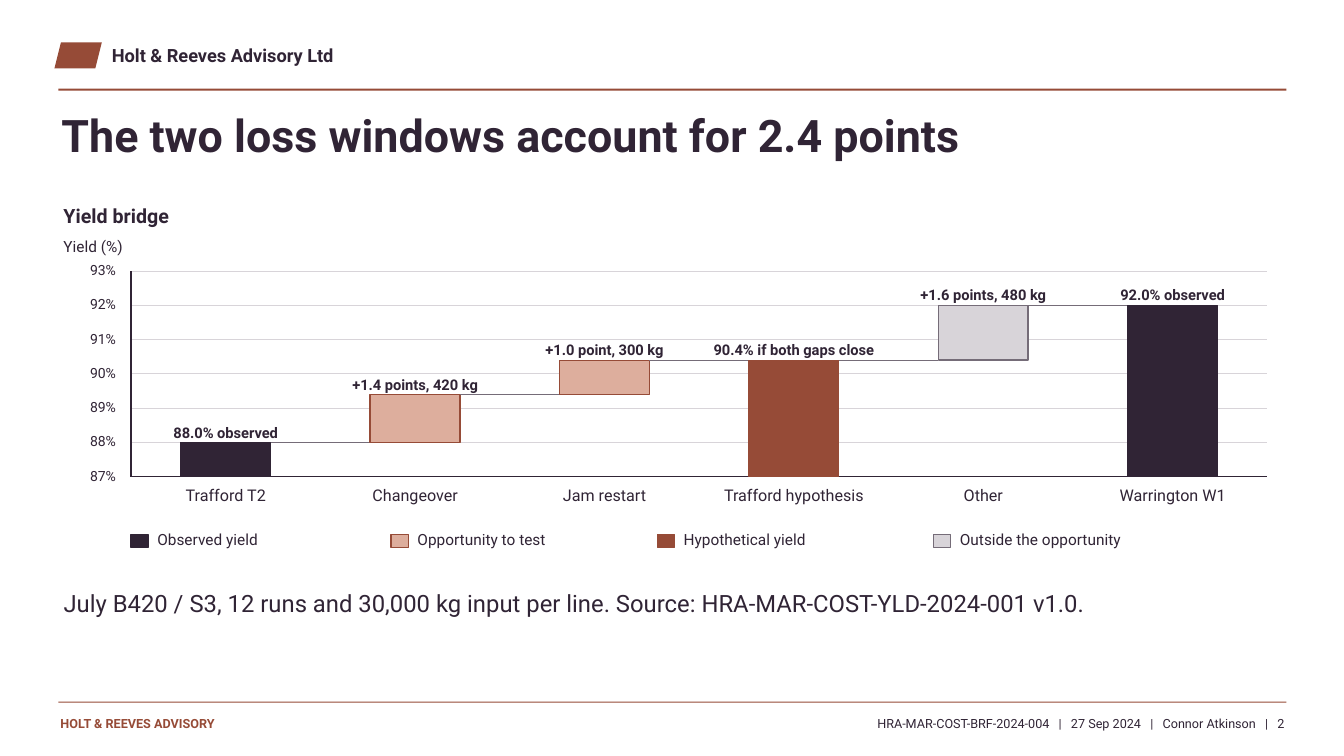
import collections

import lxml.etree
import pptx
import pptx.dml.color
import pptx.enum.shapes
import pptx.enum.text
import pptx.oxml.ns
import pptx.util

COLOURS = {
    "ink": "302435",
    "rust": "964B37",
    "blush": "DDAE9D",
    "mist": "D8D4D9",
    "slate": "756C78",
}
FONT = "Roboto"
CELL = pptx.util.Inches(0.1)  # the page grid: 133.3 columns by 75 rows
COLUMNS, ROWS = 133.3, 75
MARGIN = 5.8

Box = collections.namedtuple("Box", "left top width height")
Bar = collections.namedtuple("Bar", "name low high style label")

STYLES = {  # fill and outline
    "observed": ("ink", "ink"),
    "opportunity": ("blush", "rust"),
    "hypothesis": ("rust", "rust"),
    "outside": ("mist", "slate"),
}
BARS = [
    Bar("Trafford T2", 87, 88, "observed", "88.0% observed"),
    Bar("Changeover", 88, 89.4, "opportunity", "+1.4 points, 420 kg"),
    Bar("Jam restart", 89.4, 90.4, "opportunity", "+1.0 point, 300 kg"),
    Bar("Trafford hypothesis", 87, 90.4, "hypothesis", "90.4% if both gaps close"),
    Bar("Other", 90.4, 92, "outside", "+1.6 points, 480 kg"),
    Bar("Warrington W1", 87, 92, "observed", "92.0% observed"),
]
LEGEND = [  # offset in columns, style, wording
    (0, "observed", "Observed yield"),
    (25.8, "opportunity", "Opportunity to test"),
    (52.2, "hypothesis", "Hypothetical yield"),
    (79.6, "outside", "Outside the opportunity"),
]


def cells(*counts):
    return [round(count * CELL) for count in counts]


def rgb(name):
    return pptx.dml.color.RGBColor.from_string(COLOURS[name])


def add_span(para, text, size, colour="ink", bold=False):
    span = para.add_run()
    span.text = text
    span.font.name = FONT
    span.font.size = pptx.util.Pt(size)
    span.font.bold = bold
    span.font.color.rgb = rgb(colour)
    return span


def prepare_frame(shape, align="LEFT"):
    frame = shape.text_frame
    frame.word_wrap = True
    frame.auto_size = pptx.enum.text.MSO_AUTO_SIZE.NONE
    frame.vertical_anchor = pptx.enum.text.MSO_ANCHOR.TOP
    frame.margin_left = frame.margin_top = 0
    frame.margin_right = frame.margin_bottom = 0
    para = frame.paragraphs[0]
    para.alignment = getattr(pptx.enum.text.PP_ALIGN, align)
    return para


def add_text(page, box, text, size, colour="ink", bold=False, align="LEFT"):
    para = prepare_frame(page.shapes.add_textbox(*cells(*box)), align)
    add_span(para, text, size, colour, bold)


def add_block(page, box, fill, outline=None, kind="RECTANGLE"):
    preset = getattr(pptx.enum.shapes.MSO_SHAPE, kind)
    shape = page.shapes.add_shape(preset, *cells(*box))
    shape.shadow.inherit = False
    shape.fill.solid()
    shape.fill.fore_color.rgb = rgb(fill)
    if outline:
        shape.line.color.rgb = rgb(outline)
        shape.line.width = pptx.util.Pt(1)
    else:
        shape.line.fill.background()


def add_line(page, start, end, colour, weight):
    straight = pptx.enum.shapes.MSO_CONNECTOR.STRAIGHT
    line = page.shapes.add_connector(straight, *cells(*start, *end))
    line.line.color.rgb = rgb(colour)
    line.line.width = pptx.util.Pt(weight)
    properties = line._element.spPr
    lxml.etree.SubElement(properties, pptx.oxml.ns.qn("a:effectLst"))


def fill_placeholder(shape, box, text, size, bold=False):
    shape.left, shape.top, shape.width, shape.height = cells(*box)
    para = prepare_frame(shape)
    para.space_before = pptx.util.Pt(0)
    properties = para._p.get_or_add_pPr()
    properties.set("marL", "0")
    properties.set("indent", "0")
    lxml.etree.SubElement(properties, pptx.oxml.ns.qn("a:buNone"))
    add_span(para, text, size, bold=bold)


def draw_header(page, box):
    # One plain mark, the firm's name and a rule
    add_block(page, Box(box.left - 0.4, box.top, 4.7, 2.6), "rust", kind="PARALLELOGRAM")
    add_text(page, Box(box.left + 5.3, box.top + 0.2, 60, 2.7),
             "Holt & Reeves Advisory Ltd", 13, bold=True)
    add_block(page, Box(box.left, box.top + box.height, box.width, 0.2), "rust")


def draw_footer(page, box):
    add_block(page, Box(box.left, box.top, box.width, 0.1), "rust")
    add_text(page, Box(box.left + 0.2, box.top + 1.4, 34, 2.5),
             "HOLT & REEVES ADVISORY", 9, "rust", True)
    # Document details, with widened separators
    details = ["HRA-MAR-COST-BRF-2024-004", "27 Sep 2024", "Connor Atkinson", "2"]
    details_box = Box(box.left + 35.4, box.top + 1.4, box.width - 35.6, 2.2)
    para = prepare_frame(page.shapes.add_textbox(*cells(*details_box)), "RIGHT")
    add_span(para, details[0], 9)
    for detail in details[1:]:
        divider = add_span(para, " |", 9)
        divider.font._element.set("spc", "440")
        add_span(para, " " + detail, 9)


def draw_bridge(page, box, lowest=87, highest=93):
    right, bottom = box.left + box.width, box.top + box.height
    slot = box.width / len(BARS)
    bar_width = slot * 0.475
    inset = (slot - bar_width) / 2

    def level(value):
        return bottom - (value - lowest) / (highest - lowest) * box.height

    # Headings
    add_text(page, Box(box.left - 6.7, box.top - 6.7, 119.4, 2.8), "Yield bridge", 14, bold=True)
    add_text(page, Box(box.left - 6.7, box.top - 3.4, 10, 2.2), "Yield (%)", 11)

    # Gridlines, scale and axes
    for value in range(lowest, highest + 1):
        height = level(value)
        add_line(page, (box.left, height), (right, height), "mist", 0.7)
        add_text(page, Box(box.left - 6.6, height - 0.95, 5.1, 2), f"{value}%", 10, align="RIGHT")
    add_line(page, (box.left, box.top), (box.left, bottom), "ink", 0.9)
    add_line(page, (box.left, bottom), (right, bottom), "ink", 0.9)

    # Bars, each linked to the one before at the level they share
    for index, bar in enumerate(BARS):
        left = box.left + index * slot
        top = level(bar.high)
        if index:
            shared = level(BARS[index - 1].high)
            add_line(page, (left - inset, shared), (left + inset, shared), "slate", 0.7)
        add_block(page, Box(left + inset, top, bar_width, level(bar.low) - top), *STYLES[bar.style])
        add_text(page, Box(left, top - 1.9, slot, 1.8), bar.label, 10.5, bold=True, align="CENTER")
        add_text(page, Box(left, bottom + 0.9, slot, 2.4), bar.name, 11.5, align="CENTER")


def draw_legend(page, box):
    for offset, style, wording in LEGEND:
        left = box.left + offset
        add_block(page, Box(left, box.top + 0.4, 1.7, 1.3), *STYLES[style])
        add_text(page, Box(left + 2.6, box.top, 27.5, box.height), wording, 11)


def build_bridge_page(deck):
    page = deck.slides.add_slide(deck.slide_layouts[1])
    rule_width = COLUMNS - 2 * MARGIN + 0.1
    draw_header(page, Box(MARGIN, 4.2, rule_width, 4.6))
    fill_placeholder(page.shapes.title, Box(6.1, 10.7, 120, 7.8),
                     "The two loss windows account for 2.4 points", 32, True)
    draw_bridge(page, Box(13, 26.9, 112.7, 20.4))
    draw_legend(page, Box(13, 52.6, 112.7, 2))
    fill_placeholder(
        page.placeholders[1], Box(6.3, 58.4, 119.4, 8),
        "July B420 / S3, 12 runs and 30,000 kg input per line. "
        "Source: HRA-MAR-COST-YLD-2024-001 v1.0.", 17)
    draw_footer(page, Box(MARGIN, 69.6, rule_width, 4))


def main():
    deck = pptx.Presentation()
    deck.slide_width, deck.slide_height = cells(COLUMNS, ROWS)
    build_bridge_page(deck)
    deck.save("out.pptx")


if __name__ == "__main__":
    main()
